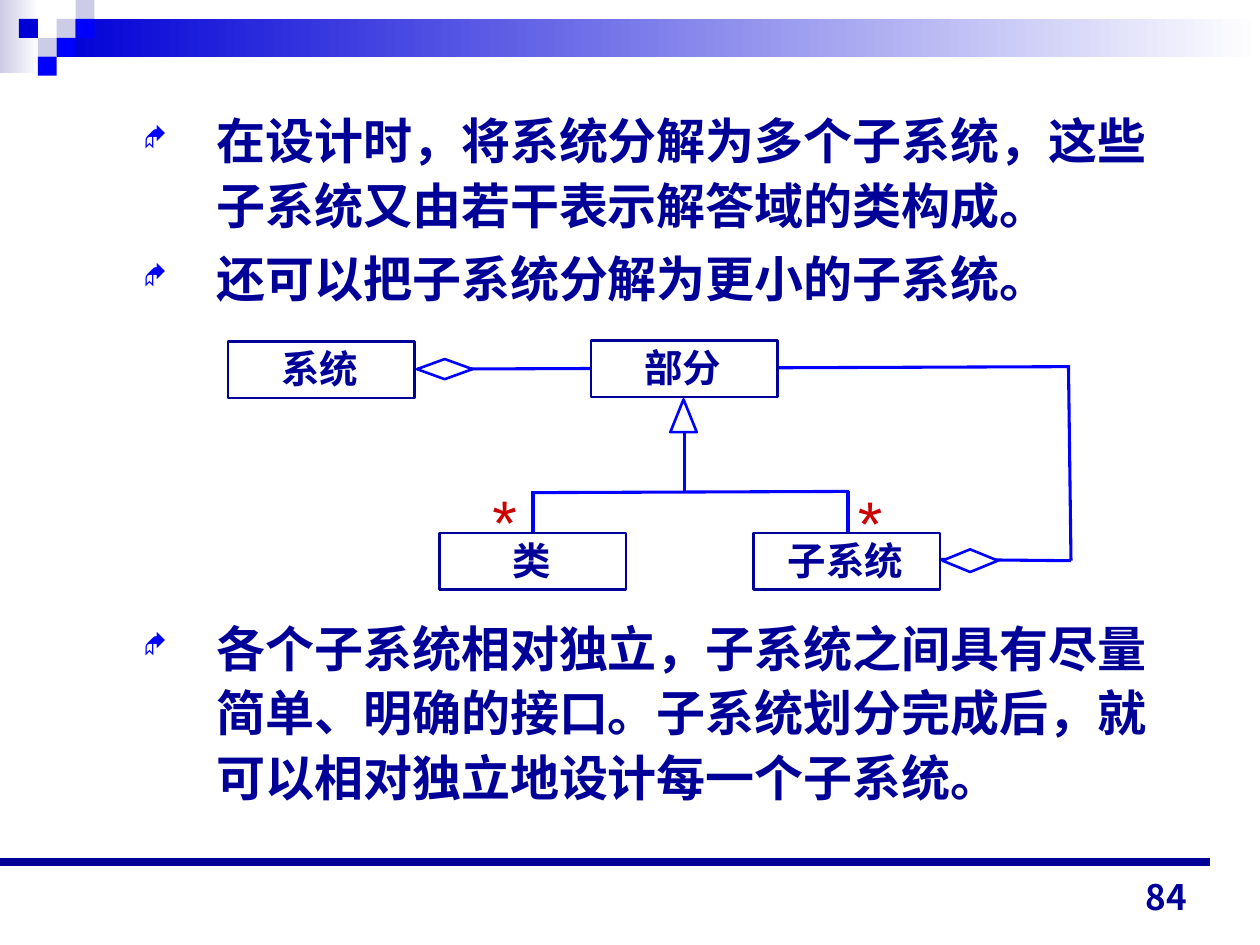
from lxml.etree import SubElement
from pptx import Presentation
from pptx.dml.color import RGBColor as Rgb
from pptx.enum.shapes import MSO_CONNECTOR as Conn, MSO_SHAPE as Kind
from pptx.enum.text import MSO_ANCHOR as Anchor, PP_ALIGN as Align
from pptx.oxml.ns import qn
from pptx.util import Inches, Pt


class Theme:
    navy, blue, deep, pale = "000099", "0000FF", "0000D6", "CCCCE6"
    white, red = "FFFFFF", "CC0000"
    sans, serif, cjk, num = "Arial", "Times New Roman", "Noto Sans CJK SC", "Noto Sans CJK JP"
    mark = "Wingdings"
    body, label, star, page = 28, 22, 36, 20


T = Theme

# Each body block: (top, height, bullets); each bullet is a list of (text, font)
BODY = [
    (0.78, 1.75, [
        [("在设计时，将系统分解为多个子系统，这些子系统又由若干表示解答域的类构成。", T.serif)],
        [("还可以把子系统分解为更小的子系统。", T.serif)],
    ]),
    (4.81, 1.96, [
        [("各个子系统相对独立，子系统之间具有尽量简单、明确的接口。", T.cjk),
         ("子系统划分完成后，就可以相对独立地设计每一个子系统。", T.sans)],
    ]),
]

# Header bands: (left, top, width, height, colour at the left end)
BANDS = [(0, 0, 0.31, 0.58, T.pale), (0.45, 0.15, 9.55, 0.3, T.deep)]
# Header tiles: (column, row, colour) on a square grid
TILE = 0.15
TILES = [(3, 1, T.pale), (4, 0, T.pale), (4, 1, T.blue), (2, 2, T.pale),
         (1, 1, T.deep), (3, 2, T.blue), (2, 3, T.blue)]

# Class diagram
BOX = (1.48, 0.45)
BOXES = [("系统", 1.81, 2.71), ("部分", 4.69, 2.7), ("类", 3.49, 4.23), ("子系统", 5.98, 4.23)]
LINKS = [
    (3.31, 2.93, 8.49, 2.91), (8.48, 2.9, 8.5, 4.45), (7.43, 4.44, 8.5, 4.45),
    (5.43, 3.38, 5.43, 3.91), (4.22, 3.91, 6.74, 3.9),
    (4.23, 3.9, 4.23, 4.22), (6.73, 3.9, 6.73, 4.22),
]
MARKS = [
    (Kind.ISOSCELES_TRIANGLE, 5.32, 3.17, 0.21, 0.26),
    (Kind.DIAMOND, 3.31, 2.85, 0.44, 0.16),
    (Kind.DIAMOND, 7.48, 4.36, 0.44, 0.18),
]
STARS = [(3.81, 3.78), (6.71, 3.79)]

deck = Presentation()
deck.slide_width, deck.slide_height = Inches(10), Inches(7.5)
slide = deck.slides.add_slide(deck.slide_layouts[6])
shapes = slide.shapes


def put(obj, **vals):
    for key, val in vals.items():
        setattr(obj, key, val)


def write(para, text, face, size, color, bold=True):
    run = para.add_run()
    run.text = text
    put(run.font, name=face, size=Pt(size), bold=bold)
    run.font.color.rgb = Rgb.from_string(color)
    SubElement(run.font._element, qn("a:ea"), typeface=T.num if face == T.num else T.cjk)


def shape(kind, place, fill=None, edge=None):
    item = shapes.add_shape(kind, *map(Inches, place))
    item.shadow.inherit = False
    if fill:
        item.fill.solid()
        item.fill.fore_color.rgb = Rgb.from_string(fill)
    if edge:
        item.line.color.rgb = Rgb.from_string(edge)
        item.line.width = Pt(1.5)
    else:
        item.line.fill.background()
    return item


def link(ends, color, width):
    line = shapes.add_connector(Conn.STRAIGHT, *map(Inches, ends))
    line.line.color.rgb = Rgb.from_string(color)
    line.line.width = Pt(width)
    SubElement(line._element.spPr, qn("a:effectLst"))


def frame(place, **vals):
    box = shapes.add_textbox(*map(Inches, place)).text_frame
    put(box, **{"word_wrap": True, **vals})
    return box


def bullet(para):
    props = para._p.get_or_add_pPr()
    for key, val in {"marL": 1.08, "indent": -0.58}.items():
        props.set(key, str(Inches(val)))
    color = SubElement(props, qn("a:buClr"))
    SubElement(color, qn("a:srgbClr"), val=T.blue)
    SubElement(props, qn("a:buSzPct"), val="55000")
    SubElement(props, qn("a:buFont"), typeface=T.mark, charset="2")
    SubElement(props, qn("a:buChar"), char="◆")


def header():
    for *place, color in BANDS:
        fill = shape(Kind.RECTANGLE, place).fill
        fill.gradient()
        fill.gradient_angle = 180
        for stop, tint in zip(fill.gradient_stops, (T.white, color)):
            stop.color.rgb = Rgb.from_string(tint)
    for col, row, color in TILES:
        shape(Kind.RECTANGLE, (col * TILE, row * TILE, TILE, TILE), color)


def body():
    for top, high, items in BODY:
        box = frame((0.54, top, 8.75, high))
        for num, parts in enumerate(items):
            para = box.add_paragraph() if num else box.paragraphs[0]
            bullet(para)
            put(para, line_spacing=1.1, space_before=Pt(5.2 if num else 0))
            for text, face in parts:
                write(para, text, face, T.body, T.navy)


def diagram():
    for ends in LINKS:
        link(ends, T.blue, 1.75)
    for text, left, top in BOXES:
        box = shape(Kind.RECTANGLE, (left, top, *BOX), T.white, T.navy).text_frame
        put(box, margin_top=0, margin_bottom=Inches(0.02), margin_right=Inches(0.12),
            vertical_anchor=Anchor.MIDDLE)
        para = box.paragraphs[0]
        para.alignment = Align.CENTER
        write(para, text, T.sans, T.label, T.navy)
    for kind, *place in MARKS:
        shape(kind, place, T.white, T.blue)
    for spot in STARS:
        box = frame((*spot, 0.39, 0.7), word_wrap=False)
        write(box.paragraphs[0], "*", T.sans, T.star, T.red, False)


def footer():
    link((0, 6.84, 9.6, 6.84), T.navy, 4.5)
    box = frame((7.19, 6.83, 2.33, 0.5), vertical_anchor=Anchor.BOTTOM)
    para = box.paragraphs[0]
    para.alignment = Align.RIGHT
    write(para, "84", T.num, T.page, T.navy)


def main():
    header()
    body()
    diagram()
    footer()
    deck.save("out.pptx")


if __name__ == "__main__":
    main()
